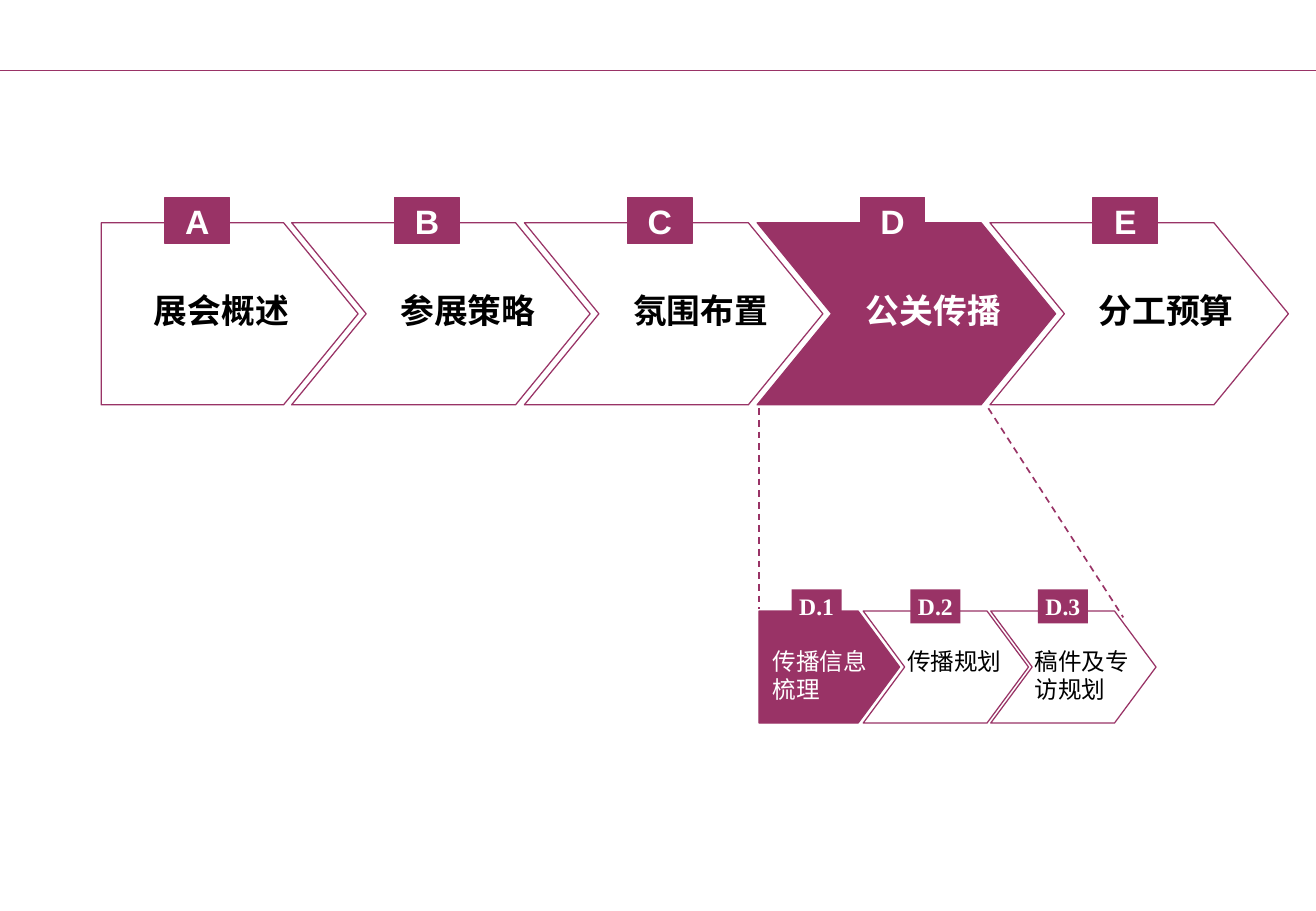
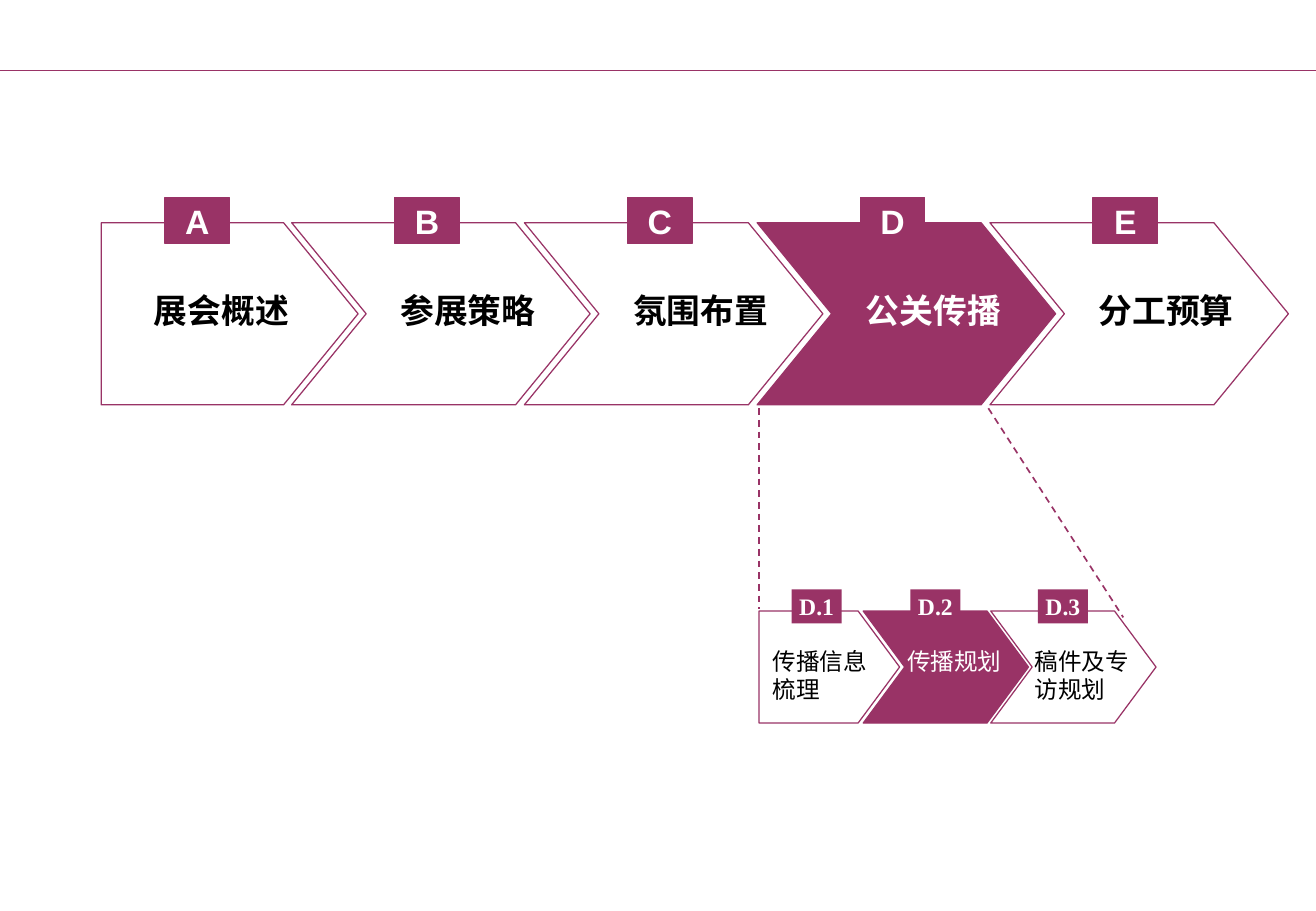
from dataclasses import dataclass

from lxml import etree
from pptx import Presentation
from pptx.dml import color as col
from pptx.enum import dml, shapes, text
from pptx.oxml import ns
from pptx.util import Pt


# Theme: colours, type and line widths
@dataclass(frozen=True)
class Theme:
    plum: str = "993366"
    white: str = "FFFFFF"
    black: str = "000000"
    sans: str = "Arial"
    serif: str = "Times New Roman"
    han: str = "Noto Sans CJK SC"
    big: float = 20
    small: float = 14
    thin: float = 0.75
    dash: float = 1


T = Theme()


# Geometry and type of one row of steps; boxes are (top, width, height)
@dataclass(frozen=True)
class Row:
    top: float
    high: float
    point: float
    tag: tuple
    note: tuple
    size: float
    tagfont: str
    font: str
    bold: bool
    inset: tuple
    edge: bool
    base: str


MAIN = Row(132, 108, 44.2, (117, 38.2, 27.4), (168.2, 115, 31.2), T.big,
           T.sans, T.han, True, (7.2, 3.6), True, T.white)
SUB = Row(362.2, 66.4, 24.6, (349.4, 29.6, 20.2), (383.5, 65.5, 33.6), T.small,
          T.serif, T.serif, False, (0, 0), False, None)

# Steps: tag, note, left, width, tag offset, note offset
FIRST = ("A", "展会概述", 60, 152.3, 37.9, 24.2)
REST = [("B", "参展策略"), ("C", "氛围布置"), ("D", "公关传播"), ("E", "分工预算")]
STEPS = [FIRST] + [(tag, note, 172.9 + 138 * i, 177, 61.2, 57.4)
                   for i, (tag, note) in enumerate(REST)]
PARTS = [("D.1", "传播信息梳理", 450, 83.4, 19.4, 8),
         ("D.2", "传播规划", 511.8, 98, 28, 26),
         ("D.3", "稿件及专访规划", 587.4, 98, 28, 26)]


def rgb(hue):
    return col.RGBColor.from_string(hue)


def assign(item, vals):
    for name, val in vals.items():
        setattr(item, name, val)


def paint(shape, fill, line):
    shape.shadow.inherit = False
    for part, hue in ((shape.fill, fill), (shape.line.fill, line)):
        if hue:
            part.solid()
            part.fore_color.rgb = rgb(hue)
        else:
            part.background()
    if line:
        shape.line.width = Pt(T.thin)


def write(shape, words, hue, font, inset=(0, 0), frame=None, para=None):
    box = shape.text_frame
    side, end = map(Pt, inset)
    assign(box, dict(margin_left=side, margin_right=side,
                     margin_top=end, margin_bottom=end, **(frame or {})))
    line = box.paragraphs[0]
    assign(line, para or {})
    run = line.add_run()
    run.text = words
    run.font.color.rgb = rgb(hue)
    assign(run.font, font)
    east = etree.SubElement(run.font._element, ns.qn("a:ea"))
    east.set("typeface", T.han)


def arrow(slide, row, left, wide, notch, fill):
    """Block arrow, with a notched tail unless it opens the row."""
    mid, low = row.top + row.high / 2, row.top + row.high
    neck = left + wide - row.point
    spots = [(neck, row.top), (left + wide, mid), (neck, low), (left, low)]
    if notch:
        spots.append((left + row.point, mid))
    path = slide.shapes.build_freeform(Pt(left), Pt(row.top))
    path.add_line_segments([(Pt(x), Pt(y)) for x, y in spots], close=True)
    paint(path.convert_to_shape(), fill, T.plum)


def badge(slide, row, left, words):
    top, wide, high = row.tag
    box = slide.shapes.add_shape(shapes.MSO_SHAPE.RECTANGLE,
                                 Pt(left), Pt(top), Pt(wide), Pt(high))
    paint(box, T.plum, T.plum if row.edge else None)
    write(box, words, T.white,
          dict(name=row.tagfont, size=Pt(row.size), bold=True),
          frame=dict(word_wrap=False, vertical_anchor=text.MSO_ANCHOR.MIDDLE),
          para=dict(alignment=text.PP_ALIGN.CENTER))


def label(slide, row, left, words, hue):
    top, wide, high = row.note
    box = slide.shapes.add_textbox(Pt(left), Pt(top), Pt(wide), Pt(high))
    write(box, words, hue,
          dict(name=row.font, size=Pt(row.size), bold=row.bold), row.inset,
          dict(word_wrap=True, auto_size=text.MSO_AUTO_SIZE.SHAPE_TO_FIT_TEXT),
          dict(line_spacing=Pt(row.size * 1.2)))


def chain(slide, row, steps, live):
    """A row of steps with the live one filled."""
    for i, (tag, note, left, wide, tagx, notex) in enumerate(steps):
        on = tag == live
        arrow(slide, row, left, wide, i > 0, T.plum if on else row.base)
        badge(slide, row, left + tagx, tag)
        label(slide, row, left + notex, note, T.white if on else T.black)


def rule(slide, start, end, width, dash=None):
    line = slide.shapes.add_connector(shapes.MSO_CONNECTOR.STRAIGHT,
                                      *map(Pt, start + end))
    line.line.color.rgb = rgb(T.plum)
    assign(line.line, dict(width=Pt(width), dash_style=dash))
    etree.SubElement(line.element.spPr, ns.qn("a:effectLst"))
    return line


def header(deck, slide):
    """Move the top rule to the master, so that all slides share it."""
    line = rule(slide, (0, 42), (780, 42), T.thin)
    line.element.xpath(".//p:cNvPr")[0].set("id", "20")
    deck.slide_master.shapes.element.append(line.element)


def agenda(slide, live):
    chain(slide, MAIN, STEPS, "D")
    # Dashed lines from step D to its parts
    for start, end in (((450, 242), (450, 361)), ((586, 242), (666, 366))):
        rule(slide, start, end, T.dash, dml.MSO_LINE.DASH)
    chain(slide, SUB, PARTS, live)


def main():
    deck = Presentation()
    deck.slide_width = Pt(780.25)
    deck.slide_height = Pt(540)
    for i, live in enumerate(("D.1", "D.2")):
        slide = deck.slides.add_slide(deck.slide_layouts[6])
        if i == 0:
            header(deck, slide)
        agenda(slide, live)
    deck.save("out.pptx")


if __name__ == "__main__":
    main()
